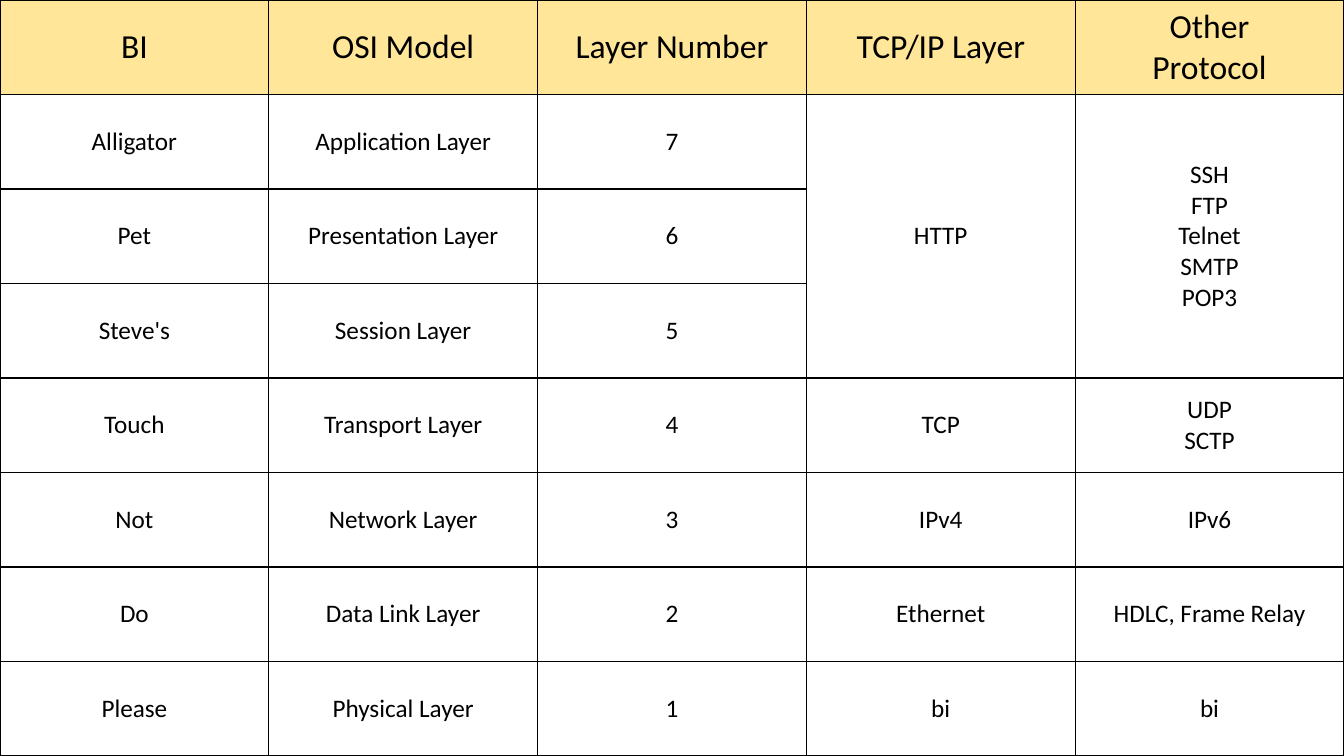
from lxml import etree
from pptx import Presentation, util as u
from pptx.dml.color import RGBColor
from pptx.enum import text
from pptx.oxml.ns import qn

PIXEL = 914400 / 100.8
WIDTH, HEIGHT = 1344, 756


def px(length):
    return u.Emu(round(length * PIXEL))


def colour(value):
    return RGBColor.from_string(value)


layers = [
    ["BI", "OSI Model", "Layer Number", "TCP/IP Layer", "Other\nProtocol"],
    ["Alligator", "Application Layer", "7", "HTTP", "SSH\nFTP\nTelnet\nSMTP\nPOP3"],
    ["Pet", "Presentation Layer", "6", "", ""],
    ["Steve's", "Session Layer", "5", "", ""],
    ["Touch", "Transport Layer", "4", "TCP", "UDP\nSCTP"],
    ["Not", "Network Layer", "3", "IPv4", "IPv6"],
    ["Do", "Data Link Layer", "2", "Ethernet", "HDLC, Frame Relay"],
    ["Please", "Physical Layer", "1", "bi", "bi"],
]

deck = Presentation()
deck.slide_width, deck.slide_height = px(WIDTH), px(HEIGHT)
slide = deck.slides.add_slide(deck.slide_layouts[6])

comparison = slide.shapes.add_table(
    len(layers), len(layers[0]), 0, 0, px(WIDTH), px(HEIGHT)
).table
comparison.first_row = False
comparison.horz_banding = False

for row, entries in enumerate(layers):
    for column, entry in enumerate(entries):
        cell = comparison.cell(row, column)
        cell.vertical_anchor = text.MSO_ANCHOR.MIDDLE
        cell.text_frame.text = entry
        for paragraph in cell.text_frame.paragraphs:
            paragraph.alignment = text.PP_ALIGN.CENTER
            for run in paragraph.runs:
                run.font.name = "Calibri"
                run.font.size = u.Pt(24 if row == 0 else 18)
                run.font.color.rgb = colour("000000")

        properties = cell._tc.get_or_add_tcPr()
        for side in ("a:lnL", "a:lnR", "a:lnT", "a:lnB"):
            border = etree.SubElement(properties, qn(side), w=str(u.Pt(1)))
            solid = etree.SubElement(border, qn("a:solidFill"))
            etree.SubElement(solid, qn("a:srgbClr"), val="000000")

        if row == 0:
            cell.fill.solid()
            cell.fill.fore_color.rgb = colour("FFE699")
        else:
            cell.fill.background()

for column in (3, 4):
    comparison.cell(1, column).merge(comparison.cell(3, column))

deck.save("out.pptx")
